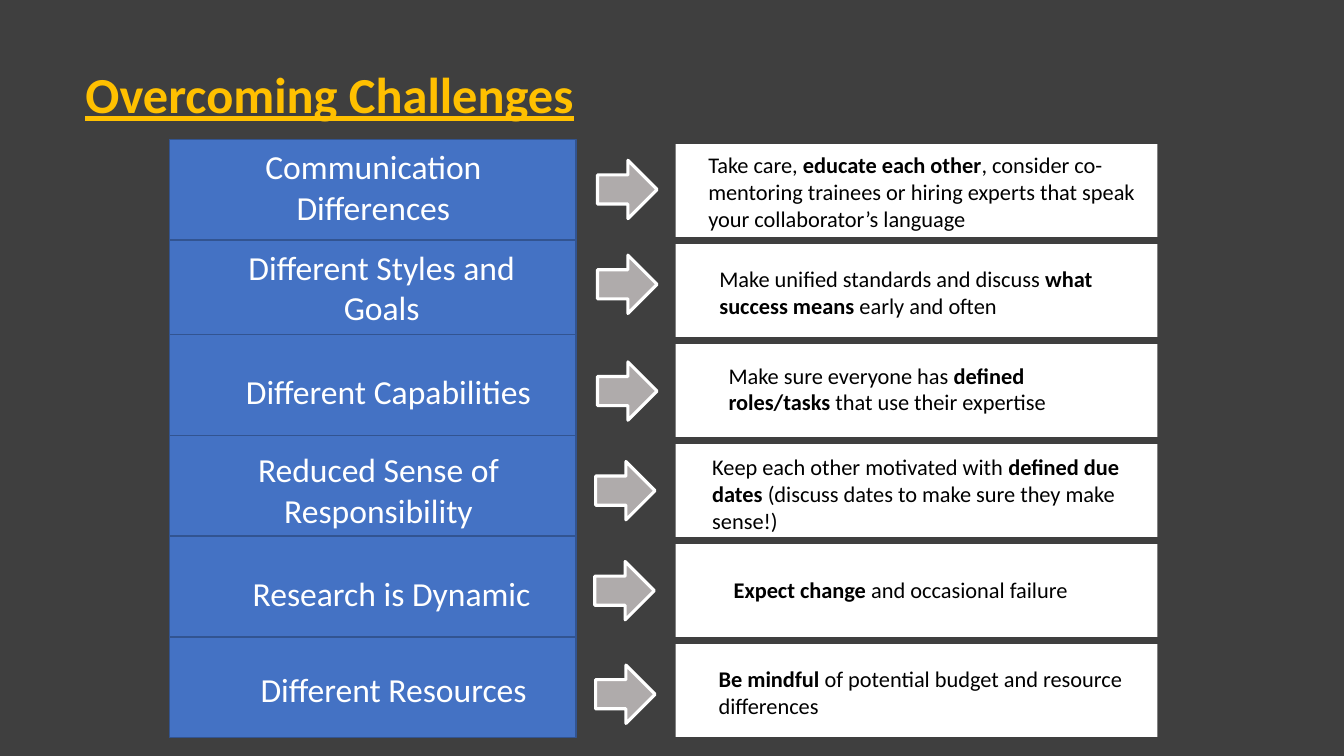
from pptx import Presentation
from pptx.dml.color import RGBColor
from pptx.enum.shapes import MSO_SHAPE as Shape
from pptx.enum.text import MSO_ANCHOR as Anchor, PP_ALIGN as Align
from pptx.util import Cm, Pt


def add_box(kind, left, top, width, height, fill, line=None, weight=1):
    sp = s.shapes.add_shape(kind, Cm(left), Cm(top), Cm(width), Cm(height))
    sp.shadow.inherit = False
    sp.fill.solid()
    sp.fill.fore_color.rgb = RGBColor.from_string(fill)
    if line:
        sp.line.color.rgb = RGBColor.from_string(line)
        sp.line.width = Pt(weight)
    else:
        sp.line.fill.background()


def add_run(p, text, size, color, bold=False):
    r = p.add_run()
    r.text = text
    r.font.name = "Calibri"
    r.font.size = Pt(size)
    r.font.bold = bold
    r.font.color.rgb = RGBColor.from_string(color)
    return r


# Tops of the blue block and the arrow, arrow left,
# label (left, top, lines), advice (left, top, width, height, runs as text and bold)
rows = [
    (3.51, 4.04, 15.06, (4.29, 3.43, ["Communication", "Differences"]),
     (17.6, 3.68, 12.22, 2.31, [
         ("Take care, ", False), ("educate each other", True),
         (", consider co-mentoring trainees or hiring experts that speak "
          "your collaborator’s language", False)])),
    (5.92, 6.43, 15.06, (4.5, 5.97, ["Different Styles and", "Goals"]),
     (17.88, 6.55, 10.24, 1.63, [
         ("Make unified standards and discuss ", False),
         ("what success means ", True), ("early and often", False)])),
    (8.43, 9.12, 15.06, (4.67, 8.59, ["Different Capabilities"]),
     (18.11, 8.99, 10.34, 1.63, [
         ("Make sure everyone has ", False),
         ("defined roles/tasks ", True), ("that use their expertise", False)])),
    (10.97, 11.63, 15.01, (4.42, 11.07, ["Reduced Sense of Responsibility"]),
     (17.7, 11.3, 11.3, 2.31, [
         ("Keep each other motivated with ", False), ("defined due dates ", True),
         ("(discuss dates to make sure they make sense!)", False)])),
    (13.51, 14.15, 14.99, (4.75, 13.67, ["Research is Dynamic"]),
     (18.24, 14.4, 10.24, 0.94, [
         ("Expect change ", True), ("and occasional failure", False)])),
    (16.05, 16.76, 15.01, (4.8, 16.1, ["Different Resources"]),
     (17.86, 16.64, 11.33, 1.63, [
         ("Be mindful", True),
         (" of potential budget and resource differences", False)])),
]

# Slide and background
prs = Presentation()
prs.slide_width, prs.slide_height = Cm(33.87), Cm(19.05)
s = prs.slides.add_slide(prs.slide_layouts[5])
s.background.fill.solid()
s.background.fill.fore_color.rgb = RGBColor.from_string("3F3F3F")

# Title
title = s.shapes.title
title.left, title.top, title.width, title.height = Cm(1.9), Cm(0.86), Cm(13.13), Cm(3.18)
tf = title.text_frame
tf.word_wrap = True
tf.vertical_anchor = Anchor.MIDDLE
p = tf.paragraphs[0]
p.alignment = Align.LEFT
p.line_spacing = 0.9
add_run(p, "Overcoming Challenges", 36, "FFC000", True).font.underline = True

# White advice panels
for i in range(len(rows)):
    add_box(Shape.RECTANGLE, 17.03, 3.63 + 2.52 * i, 12.14, 2.34, "FFFFFF")

# Blue challenge blocks, the first one on top
for block_top, *_ in rows[1:] + rows[:1]:
    add_box(Shape.RECTANGLE, 4.28, block_top, 10.24, 2.54, "4472C4", "325491")

# Labels, advice and arrows
for _, arrow_top, arrow_left, label, advice in rows:
    left, top, lines = label
    tf = s.shapes.add_textbox(Cm(left), Cm(top), Cm(10.24), Cm(2.54)).text_frame
    tf.word_wrap = True
    tf.vertical_anchor = Anchor.MIDDLE
    for i, line in enumerate(lines):
        p = tf.add_paragraph() if i else tf.paragraphs[0]
        p.alignment = Align.CENTER
        add_run(p, line, 24, "FFFFFF")

    left, top, width, height, runs = advice
    tf = s.shapes.add_textbox(Cm(left), Cm(top), Cm(width), Cm(height)).text_frame
    tf.word_wrap = True
    for text, bold in runs:
        add_run(tf.paragraphs[0], text, 16, "000000", bold)

    add_box(Shape.RIGHT_ARROW, arrow_left, arrow_top, 1.5, 1.47, "AFABAB", "FFFFFF", 2.25)

prs.save("out.pptx")
